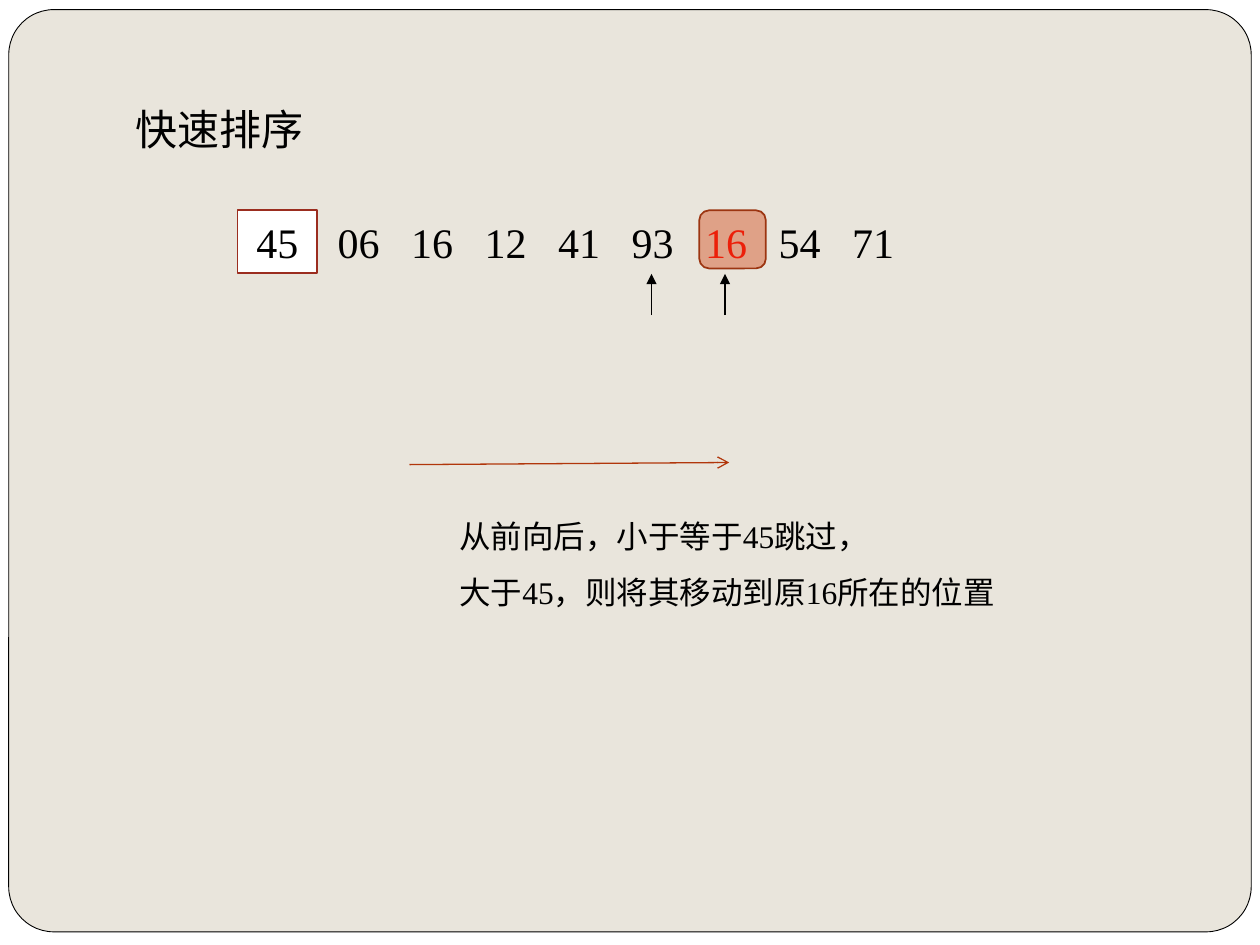
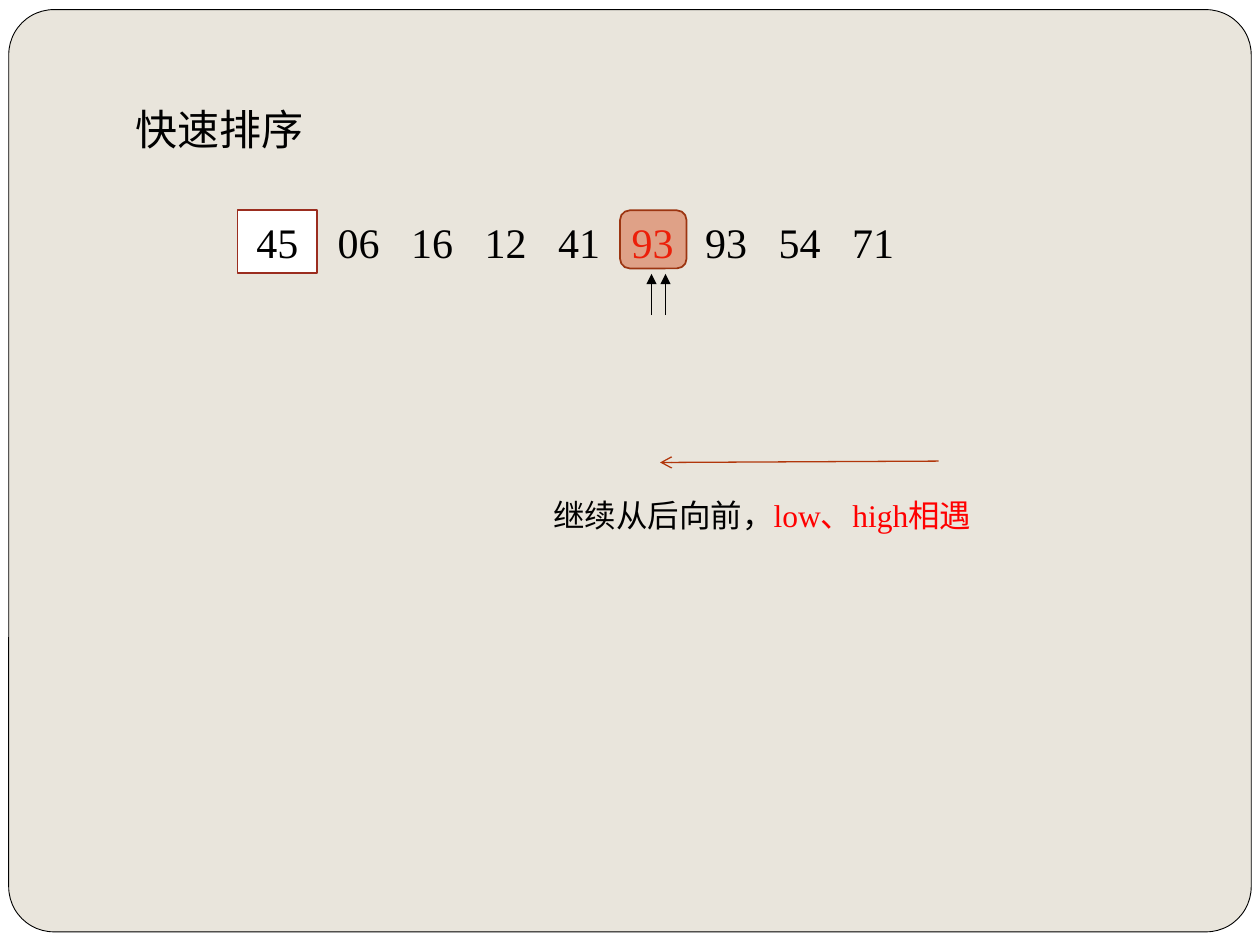
import pptx
import pptx.dml.color
import pptx.enum.shapes
import pptx.enum.text
import pptx.oxml
import pptx.oxml.ns
import pptx.util
from pptx.dml.color import RGBColor

Pt = pptx.util.Pt
Shape = pptx.enum.shapes.MSO_SHAPE
Align = pptx.enum.text.PP_ALIGN
Anchor = pptx.enum.text.MSO_ANCHOR

FONT = "Times New Roman"
BLACK = RGBColor(0x00, 0x00, 0x00)
WHITE = RGBColor(0xFF, 0xFF, 0xFF)
RED = RGBColor(0xFF, 0x00, 0x00)
PAPER = RGBColor(0xE9, 0xE5, 0xDC)
ORANGE = RGBColor(0xD3, 0x48, 0x17)
ORANGE_EDGE = RGBColor(0x9C, 0x35, 0x11)
PIVOT_EDGE = RGBColor(0x9B, 0x2D, 0x1F)
SCAN_COLOR = RGBColor(0xB1, 0x36, 0x0B)

WIDTH, HEIGHT = 720, 540
ROW_LEFT, ROW_TOP = 185.8, 120.2
NUMBER_PITCH = 42
FIRST_CENTER = 204.3


def add_xml(parent, tag, **attributes):
    child = pptx.oxml.parse_xml(f"<a:{tag} {pptx.oxml.ns.nsdecls('a')}/>")
    for name, value in attributes.items():
        child.set(name, str(value))
    parent.append(child)
    return child


def write_text(frame, paragraphs, size=24, align=Align.LEFT, spacing=None, tab_pitch=None):
    """Fill a frame; each paragraph is a list of (text, color) runs."""
    frame.word_wrap = True
    for index, runs in enumerate(paragraphs):
        paragraph = frame.add_paragraph() if index else frame.paragraphs[0]
        paragraph.alignment = align
        if spacing:
            paragraph.line_spacing = spacing
        if tab_pitch:
            tabs = add_xml(paragraph._p.get_or_add_pPr(), "tabLst")
            for stop in range(1, 9):
                add_xml(tabs, "tab", pos=Pt(stop * tab_pitch), algn="l")
        for text, color in runs:
            run = paragraph.add_run()
            run.text = text
            run.font.name = FONT
            run.font.size = Pt(size)
            run.font.color.rgb = color


class SortDeck:
    """Holds the presentation, its style and the current slide."""

    def __init__(self):
        self.presentation = pptx.Presentation()
        self.presentation.slide_width = Pt(WIDTH)
        self.presentation.slide_height = Pt(HEIGHT)
        self.slide = None

    def start_slide(self):
        self.slide = self.presentation.slides.add_slide(self.presentation.slide_layouts[6])
        background = self.slide.background.fill
        background.solid()
        background.fore_color.rgb = PAPER
        self.shape(Shape.RECTANGLE, 0, 0, WIDTH, HEIGHT, WHITE)
        panel = self.shape(Shape.ROUNDED_RECTANGLE, 5, 5.5, 710, 527, PAPER, BLACK, 0.5)
        panel.adjustments[0] = 0.049

    def shape(self, kind, left, top, width, height, fill, edge=None, edge_width=1):
        shape = self.slide.shapes.add_shape(kind, Pt(left), Pt(top), Pt(width), Pt(height))
        shape.shadow.inherit = False
        shape.fill.solid()
        shape.fill.fore_color.rgb = fill
        if edge is None:
            shape.line.fill.background()
        else:
            shape.line.color.rgb = edge
            shape.line.width = Pt(edge_width)
        return shape

    def text(self, left, top, width, height, paragraphs, **text_format):
        box = self.slide.shapes.add_textbox(Pt(left), Pt(top), Pt(width), Pt(height))
        write_text(box.text_frame, paragraphs, **text_format)

    def arrow(self, start, end, color, head):
        line = self.slide.shapes.add_connector(
            pptx.enum.shapes.MSO_CONNECTOR.STRAIGHT, *map(Pt, start + end))
        line.line.color.rgb = color
        line.line.width = Pt(0.75)
        add_xml(line.line._get_or_add_ln(), "tailEnd", type=head)
        add_xml(line._element.spPr, "effectLst")

    def pointer(self, x):
        self.arrow((x, 180), (x, 156.5), BLACK, "triangle")

    def number_row(self, numbers, moved):
        """Write the numbers on an even grid, with the moved one in red."""
        runs = []
        for index, number in enumerate(numbers):
            if index:
                runs.append(("\t", BLACK))
            runs.append((number, RED if index == moved else BLACK))
        self.text(ROW_LEFT, ROW_TOP, 340, 36, [runs], tab_pitch=NUMBER_PITCH)

    def partition_step(self, numbers, moved, low_x, high_x, highlight_left):
        self.start_slide()
        self.number_row(numbers, moved)
        self.text(70.6, 55.4, 112, 36, [[("快速排序", BLACK)]])
        self.pointer(high_x)
        self.pointer(low_x)
        highlight = self.shape(Shape.ROUNDED_RECTANGLE, highlight_left, ROW_TOP, 38, 33.2,
                               ORANGE, ORANGE_EDGE)
        fill_color = highlight._element.spPr.find(".//" + pptx.oxml.ns.qn("a:srgbClr"))
        add_xml(fill_color, "alpha", val=43000)
        pivot = self.shape(Shape.RECTANGLE, 135.8, ROW_TOP, 45.4, 36, WHITE, PIVOT_EDGE)
        pivot.text_frame.vertical_anchor = Anchor.MIDDLE
        write_text(pivot.text_frame, [[("45", BLACK)]], align=Align.CENTER)

    def scan_arrow(self, start, end):
        self.arrow(start, end, SCAN_COLOR, "arrow")


def main():
    deck = SortDeck()
    low_x = FIRST_CENTER + 4 * NUMBER_PITCH

    deck.partition_step(["06", "16", "12", "41", "93", "16", "54", "71"], moved=5,
                        low_x=low_x, high_x=low_x + NUMBER_PITCH, highlight_left=399.6)
    deck.scan_arrow((234, 265.5), (416.7, 264.3))
    deck.text(255.4, 280.8, 347, 72.7,
              [[("从前向后，小于等于45跳过，", BLACK)],
               [("大于45，则将其移动到原16所在的位置", BLACK)]],
              size=18, spacing=1.5)

    deck.partition_step(["06", "16", "12", "41", "93", "93", "54", "71"], moved=4,
                        low_x=low_x, high_x=low_x + 8, highlight_left=354.3)
    deck.scan_arrow((536.4, 263.5), (377.2, 264.3))
    deck.text(309, 280, 287.3, 29,
              [[("继续从后向前，", BLACK), ("low、high相遇", RED)]], size=18)

    deck.presentation.save("out.pptx")


if __name__ == "__main__":
    main()
